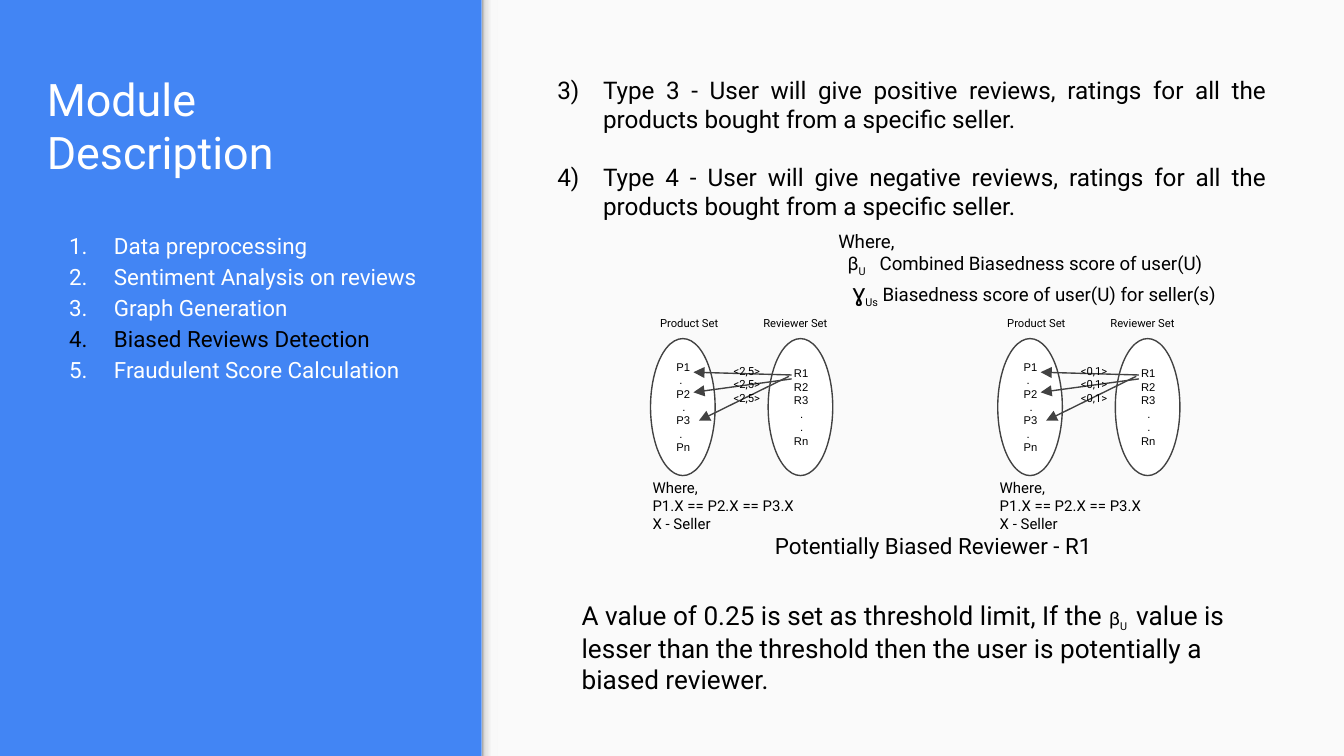
from pptx import Presentation
from pptx.dml.color import RGBColor
from pptx.enum import shapes as sh, text as tx
from pptx.oxml.ns import qn
from pptx.util import Pt
from lxml import etree

BLUE, WHITE, BLACK, GREY = "4285F4", "FFFFFF", "000000", "424242"
LEFT, JUST = tx.PP_ALIGN.LEFT, tx.PP_ALIGN.JUSTIFY


def hue(code):
    return RGBColor.from_string(code)


def put(obj, vals):
    for name, val in vals.items():
        setattr(obj, name, val)


def add_run(para, words, size, color, font="Roboto", sub=False):
    run = para.add_run()
    run.text = words
    put(run.font, {"size": Pt(size), "name": font})
    run.font.color.rgb = hue(color)
    if sub:
        run.font._element.set("baseline", "-25000")


def indent(para, left, first=0):
    props = para._p.get_or_add_pPr()
    props.set("marL", str(Pt(left)))
    props.set("indent", str(Pt(first)))


def number(para, kind, color, start=1):
    props = para._p.get_or_add_pPr()
    tint = etree.SubElement(props, qn("a:buClr"))
    etree.SubElement(tint, qn("a:srgbClr"), val=color)
    etree.SubElement(props, qn("a:buAutoNum"), type=kind, startAt=str(start))


def frame(shape, anchor=tx.MSO_ANCHOR.TOP):
    body = shape.text_frame
    put(body, {"word_wrap": True, "vertical_anchor": anchor})
    put(body, {"margin_" + side: Pt(7.2)
               for side in ("left", "top", "right", "bottom")})
    return body


def paras(body, count, **vals):
    rows = [body.paragraphs[0]] + [body.add_paragraph() for _ in range(count - 1)]
    for para in rows:
        put(para, vals)
    return rows


def text_box(slide, box, lines, size, color=BLACK, left=0, **vals):
    area = slide.shapes.add_textbox(*map(Pt, box))
    body = frame(area, **vals)
    rows = paras(body, len(lines))
    for para, line in zip(rows, lines):
        if left:
            indent(para, left)
        if line:
            add_run(para, line, size, color)
    return rows


def block(slide, kind, box, color, line=None):
    shape = slide.shapes.add_shape(kind, *map(Pt, box))
    shape.shadow.inherit = False
    shape.fill.solid()
    shape.fill.fore_color.rgb = hue(color)
    if line:
        shape.line.color.rgb = hue(line)
        shape.line.width = Pt(0.75)
    else:
        shape.line.fill.background()
    return shape


def panel(slide, box):
    # Light panel with a soft shade along its left edge
    x, y, wide, high = box
    rect = sh.MSO_SHAPE.RECTANGLE
    block(slide, rect, box, "FAFAFA")
    fill = block(slide, rect, (x, y, 8.6, high), "F9F9F9").fill
    fill.gradient()
    fill.gradient_angle = 0
    stops = fill._xPr.find(".//" + qn("a:gsLst"))
    for old in list(stops):
        stops.remove(old)
    for pos, code in ((0, "999999"), (20, "DEDEDE"), (64, "F9F9F9"), (100, "F9F9F9")):
        stop = etree.SubElement(stops, qn("a:gs"), pos=str(pos * 1000))
        etree.SubElement(stop, qn("a:srgbClr"), val=code)


def sidebar(slide, box):
    x, y, wide, high = box
    text_box(slide, (x, y, wide, 75), ["Module Description"], 24, WHITE,
             anchor=tx.MSO_ANCHOR.BOTTOM)
    steps = ["Data preprocessing", "Sentiment Analysis on reviews", "Graph Generation",
             "Biased Reviews Detection", "Fraudulent Score Calculation"]
    rows = text_box(slide, (x, y + 87, wide, high - 87), [""] * len(steps), 12)
    for para, step in zip(rows, steps):
        color = BLACK if step.startswith("Biased") else WHITE
        indent(para, 36, -24)
        para.line_spacing = 1.15
        number(para, "arabicPeriod", color)
        add_run(para, step, 12, color)


def types(slide, box):
    rows = text_box(slide, box, ["", ""], 13)
    for i, (para, mood) in enumerate(zip(rows, ("positive", "negative"))):
        indent(para, 36, -24.5)
        put(para, {"alignment": JUST, "space_before": Pt(15.5 * i)})
        number(para, "arabicParenR", BLACK, 3)
        add_run(para, f"Type {i + 3} - User will give {mood} reviews, ratings for all "
                "the products bought from a specific seller.", 13, BLACK)


def legend(slide, box):
    head, beta, gamma = text_box(slide, box, ["Where,", "", ""], 10)
    head.line_spacing = 1.15
    indent(beta, 22.2, -17.2)
    add_run(beta, "β", 10, BLACK)
    add_run(beta, "U", 10, BLACK, sub=True)
    add_run(beta, "\tCombined Biasedness score of user(U)", 10, BLACK)
    indent(gamma, 7.5)
    add_run(gamma, "ɣ", 13, BLACK)
    add_run(gamma, "Us", 10, BLACK, sub=True)
    add_run(gamma, " Biasedness score of user(U) for seller(s)", 10, BLACK)


def oval(slide, box, items):
    shape = block(slide, sh.MSO_SHAPE.OVAL, box, WHITE, GREY)
    body = frame(shape, tx.MSO_ANCHOR.MIDDLE)
    for para, (word, left) in zip(paras(body, len(items), alignment=LEFT), items):
        indent(para, left)
        add_run(para, word, 6, BLACK, "Arial")


def arrow(slide, x, y, ends):
    x1, y1, x2, y2 = ends
    line = slide.shapes.add_connector(sh.MSO_CONNECTOR.STRAIGHT, Pt(x + x1), Pt(y + y1),
                                      Pt(x + x2), Pt(y + y2))
    line.line.color.rgb = hue(GREY)
    line.line.width = Pt(0.75)
    etree.SubElement(line.line._get_or_add_ln(), qn("a:tailEnd"), type="triangle")
    etree.SubElement(line._element.spPr, qn("a:effectLst"))


def graph(slide, box, score):
    # Two sets, joined by scored arrows, with a note below
    x, y, wide, high = box
    goods = [("P1", 1.7), (".", 3.3), ("P2", 1.7), (".", 5),
             ("P3", 1.7), (".", 3.3), ("Pn", 1.7)]
    users = [("R1", 1.7), ("R2", 1.7), ("R3", 1.7), (".", 5), (".", 5), ("Rn", 1.7)]
    for dx, items in ((0, goods), (63, users)):
        oval(slide, (x + dx, y + 15.8, 34.6, 73.4), items)
    for dx, name in ((-2, "Product Set"), (53.3, "Reviewer Set")):
        text_box(slide, (x + dx, y, 51, 21.6), [name], 6)
    for ends in ((75.6, 35.3, 23, 33.8), (75.6, 37.4, 23, 44.6), (74.2, 36, 25.9, 59.8)):
        arrow(slide, x, y, ends)
    text_box(slide, (x + 33, y + 22.3, 49, 36), [score] * 3, 6, left=4.5)
    text_box(slide, (x - 6, y + 83.5, wide, 44),
             ["Where,", "P1.X == P2.X == P3.X", "X - Seller"], 8)


def limit(slide, box):
    para = text_box(slide, box, [""], 14)[0]
    add_run(para, "A value of 0.25 is set as threshold limit, If the ", 14, BLACK)
    add_run(para, "β", 10, BLACK)
    add_run(para, "U ", 10, BLACK, sub=True)
    add_run(para, " value is lesser than the threshold then the user is "
            "potentially a biased reviewer.", 14, BLACK)


def main():
    deck = Presentation()
    put(deck, {"slide_width": Pt(720), "slide_height": Pt(405)})
    slide = deck.slides.add_slide(deck.slide_layouts[6])
    slide.background.fill.solid()
    slide.background.fill.fore_color.rgb = hue(BLUE)
    panel(slide, (258, 0, 462, 405))
    sidebar(slide, (18, 28, 221, 336))
    types(slide, (280, 33, 405, 94))
    text_box(slide, (408, 278, 214, 29), ["Potentially Biased Reviewer - R1"], 12)
    for i, score in enumerate(("<2,5>", "<0,1>")):
        graph(slide, (348.5 + 186 * i, 165.6, 165, 128), score)
    legend(slide, (442, 114, 258, 56))
    limit(slide, (304.5, 314, 380, 66))
    deck.save("out.pptx")


if __name__ == "__main__":
    main()
